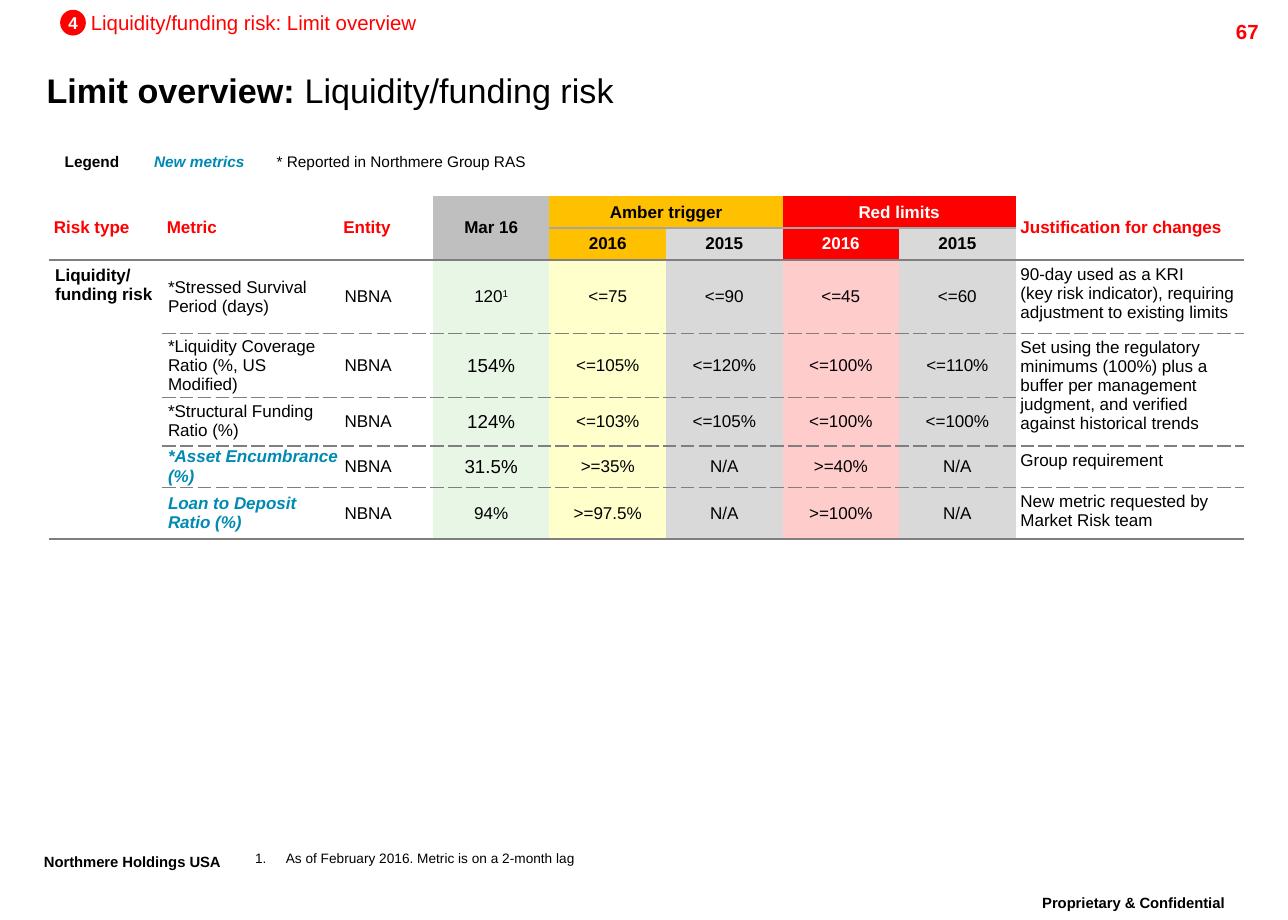
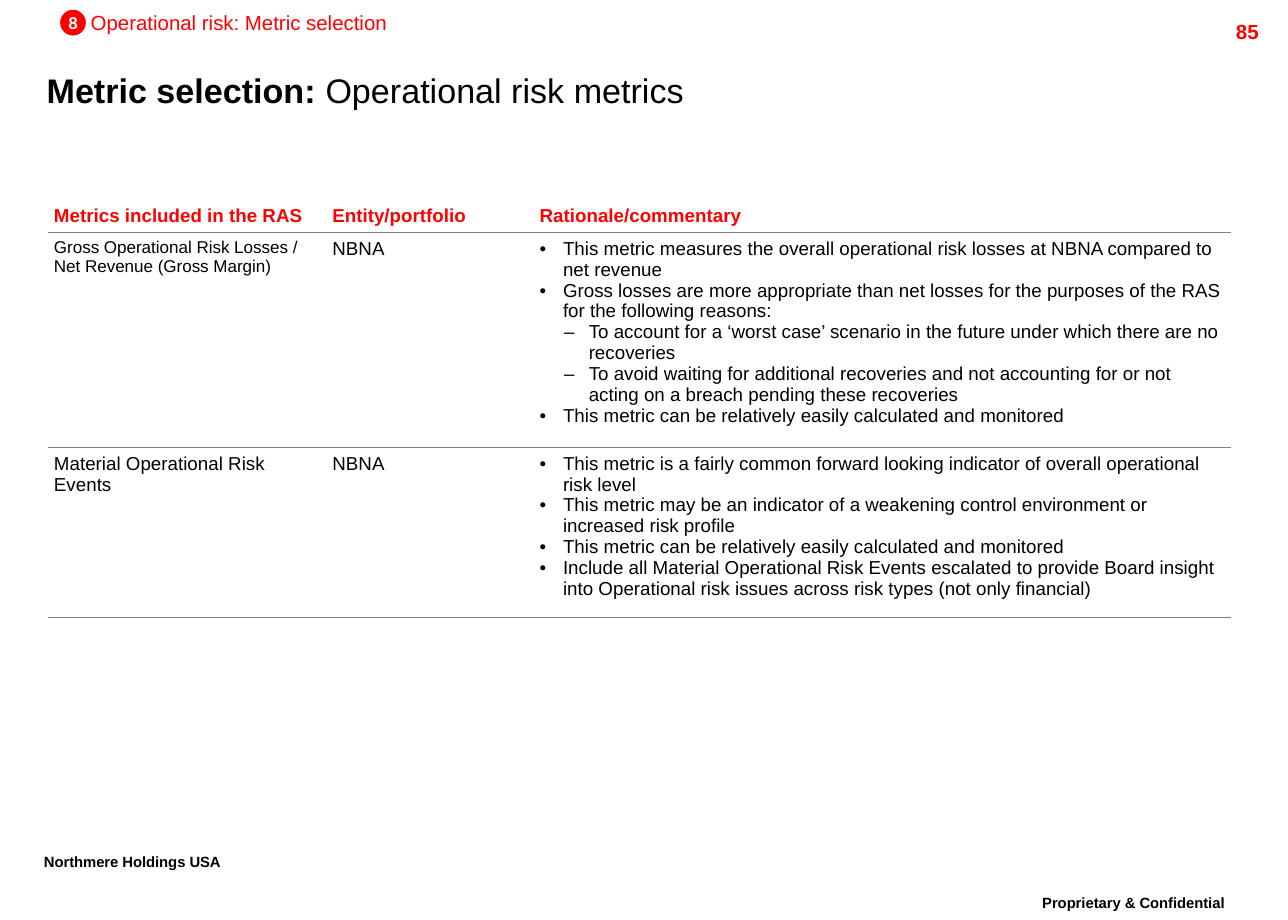
import pptx
import pptx.util
import pptx.dml.color
import pptx.enum.shapes
import pptx.enum.text
import pptx.oxml
import pptx.oxml.ns
from dataclasses import dataclass
from lxml import etree

PX = 9144  # EMU per px, 100 px to the inch
ALIGN = pptx.enum.text.PP_ALIGN
ANCHOR = pptx.enum.text.MSO_ANCHOR
qn = pptx.oxml.ns.qn


@dataclass(frozen=True)
class Theme:
    font: str = "Arial"
    black: str = "000000"
    white: str = "FFFFFF"
    red: str = "FF0000"
    amber: str = "FFC000"
    teal: str = "008AB3"
    grey: str = "D9D9D9"
    mid_grey: str = "BFBFBF"
    pale_green: str = "E8F6E6"
    pale_yellow: str = "FFFFCC"
    pale_red: str = "FFCCCC"
    rule: str = "7F7F7F"
    thin_rule: str = "A5A5A5"
    title: int = 20
    footer: int = 15
    section: int = 12
    large: int = 11
    body: int = 10
    legend: int = 9
    note: int = 8
    tight: float = 0.86


T = Theme()
NO_STYLE = "{2D5ABB26-0587-4C30-8999-92F81FD0307C}"


def rgb(color):
    return pptx.dml.color.RGBColor.from_string(color)


def px(*lengths):
    return [pptx.util.Emu(n * PX) for n in lengths]


def child(parent, tag, **attrs):
    return etree.SubElement(parent, qn(tag), attrs)


class Deck:
    def __init__(self, width, height):
        self.prs = pptx.Presentation()
        self.prs.slide_width, self.prs.slide_height = px(width, height)
        self.s = None

    def new_slide(self, number, section, section_width, page, title):
        """Add a slide with its section marker, page number, title and footers."""
        self.s = self.prs.slides.add_slide(self.prs.slide_layouts[5])
        self.title(*title)
        self.text((815, 725, 218, 35), "Proprietary & Confidential", align=ALIGN.CENTER,
                  spacing=T.tight, size=T.footer, bold=True, baseline=30)
        self.text((26, 691, 191, 35), "Northmere Holdings USA", wrap=False,
                  spacing=T.tight, size=T.footer, bold=True, baseline=30)
        self.text((936, 11, 100, 24), page, align=ALIGN.RIGHT,
                  size=T.section, bold=True, color=T.red)
        self.text((74, 8, section_width, 20), section, inset=(0, 0, 0, 0), wrap=False,
                  size=T.section, color=T.red)
        self.badge((49, 8, 21, 21), number)

    def run(self, p, text, size=T.body, color=T.black, bold=False, italic=False, baseline=0):
        for i, line in enumerate(text.split("\n")):
            if i:
                p.add_line_break()
            r = p.add_run()
            r.text = line
            f = r.font
            f.name, f.size, f.bold, f.italic = T.font, pptx.util.Pt(size), bold, italic
            f.color.rgb = rgb(color)
            if baseline:
                r._r.get_or_add_rPr().set("baseline", str(baseline * 1000))

    def frame(self, tf, inset, anchor=ANCHOR.TOP, wrap=True):
        tf.margin_left, tf.margin_top, tf.margin_right, tf.margin_bottom = px(*inset)
        tf.vertical_anchor = anchor
        tf.word_wrap = wrap

    def bullet(self, p, indent, hang, char=None):
        """Hang the paragraph on a character, or on a number if none is given."""
        pPr = p._p.get_or_add_pPr()
        pPr.set("marL", str(indent * PX))
        pPr.set("indent", str(-hang * PX))
        child(child(pPr, "a:buClr"), "a:srgbClr", val=T.black)
        child(pPr, "a:buFont", typeface=T.font)
        if char:
            child(pPr, "a:buChar", char=char)
        else:
            child(pPr, "a:buAutoNum", type="arabicPeriod")

    def title(self, lead, rest):
        sp = self.s.shapes.title
        sp.left, sp.top, sp.width, sp.height = px(38, 49, 948, 48)
        tf = sp.text_frame
        self.frame(tf, (0, 0, 0, 0), ANCHOR.MIDDLE)
        tf.auto_size = pptx.enum.text.MSO_AUTO_SIZE.NONE
        p = tf.paragraphs[0]
        p.alignment = ALIGN.LEFT
        self.run(p, lead + " ", size=T.title, bold=True)
        self.run(p, rest, size=T.title)

    def text(self, box, text, align=ALIGN.LEFT, inset=(10, 5, 10, 5), anchor=ANCHOR.TOP,
             wrap=True, spacing=None, **style):
        tf = self.s.shapes.add_textbox(*px(*box)).text_frame
        self.frame(tf, inset, anchor, wrap)
        p = tf.paragraphs[0]
        p.alignment = align
        if spacing:
            p.line_spacing = spacing
        self.run(p, text, **style)
        return p

    def badge(self, box, text):
        sp = self.s.shapes.add_shape(pptx.enum.shapes.MSO_SHAPE.OVAL, *px(*box))
        sp.shadow.inherit = False
        sp.fill.solid()
        sp.fill.fore_color.rgb = rgb(T.red)
        sp.line.fill.background()
        self.frame(sp.text_frame, (0, 0, 0, 0), ANCHOR.MIDDLE, wrap=False)
        p = sp.text_frame.paragraphs[0]
        p.alignment = ALIGN.CENTER
        self.run(p, text, bold=True, color=T.white)

    def table(self, left, top, widths, heights):
        gf = self.s.shapes.add_table(len(heights), len(widths),
                                     *px(left, top, sum(widths), sum(heights)))
        table = gf.table
        table.first_row = table.horz_banding = False
        table._tbl.tblPr.find(qn("a:tableStyleId")).text = NO_STYLE
        for column, width in zip(table.columns, px(*widths)):
            column.width = width
        for row, height in zip(table.rows, px(*heights)):
            row.height = height
        return table

    def cell(self, cell, text="", fill=None, align=ALIGN.LEFT, anchor=ANCHOR.MIDDLE,
             inset=(4, 4, 4, 4), **style):
        cell.margin_left, cell.margin_top, cell.margin_right, cell.margin_bottom = px(*inset)
        cell.vertical_anchor = anchor
        if fill:
            cell.fill.solid()
            cell.fill.fore_color.rgb = rgb(fill)
        else:
            cell.fill.background()
        p = cell.text_frame.paragraphs[0]
        p.alignment = align
        if text:
            self.run(p, text, **style)
        return p

    def border(self, cell, side, color, width, dash):
        tcPr = cell._tc.get_or_add_tcPr()
        old = tcPr.find(qn(side))
        if old is not None:
            tcPr.remove(old)
        ln = etree.Element(qn(side), w=str(int(width * 12700)))
        child(child(ln, "a:solidFill"), "a:srgbClr", val=color)
        child(ln, "a:prstDash", val=dash)
        after_top = side == "a:lnB" and tcPr.find(qn("a:lnT")) is not None
        tcPr.insert(int(after_top), ln)

    def rule(self, table, row, columns, width, color=T.rule, dash="solid"):
        """Draw a line above the given row, which may be one past the last."""
        for c in columns:
            above = row - 1
            self.border(table.cell(above, c), "a:lnB", color, width, dash)
            while above and table.cell(above, c).is_spanned:
                above -= 1
                self.border(table.cell(above, c), "a:lnB", color, width, dash)
            if row < len(table.rows):
                self.border(table.cell(row, c), "a:lnT", color, width, dash)


def limit_overview(deck):
    deck.new_slide("4", "Liquidity/funding risk: Limit overview", 268, "67",
                   ("Limit overview:", "Liquidity/funding risk"))
    legend = dict(align=ALIGN.CENTER, spacing=T.tight, size=T.legend)
    deck.text((40, 121, 70, 23), "Legend", bold=True, **legend)
    deck.text((115, 121, 95, 23), "New metrics", bold=True, italic=True, color=T.teal,
              wrap=False, **legend)
    deck.text((215, 121, 224, 23), "* Reported in Northmere Group RAS", wrap=False, **legend)
    note = deck.text((208, 694, 615, 12), "As of February 2016. Metric is on a 2-month lag",
                     inset=(0, 0, 0, 0), anchor=ANCHOR.BOTTOM, spacing=T.tight, size=T.note)
    deck.bullet(note, 25, 25)

    table = deck.table(40, 160, [92, 144, 77] + [95] * 5 + [186],
                       [26, 26, 60, 52, 39, 34, 42])
    merges = [((0, c), (1, c)) for c in (0, 1, 2, 3, 8)]
    merges += [((0, 4), (0, 5)), ((0, 6), (0, 7)), ((2, 0), (6, 0)), ((3, 8), (4, 8))]
    for first, last in merges:
        table.cell(*first).merge(table.cell(*last))

    for c, text in ((0, "Risk type"), (1, "Metric"), (2, "Entity"),
                    (8, "Justification for changes")):
        deck.cell(table.cell(0, c), text, bold=True, color=T.red)
    for r, c, text, fill, color in (
            (0, 3, "Mar 16", T.mid_grey, T.black),
            (0, 4, "Amber trigger", T.amber, T.black), (0, 6, "Red limits", T.red, T.white),
            (1, 4, "2016", T.amber, T.black), (1, 5, "2015", T.grey, T.black),
            (1, 6, "2016", T.red, T.white), (1, 7, "2015", T.grey, T.black)):
        deck.cell(table.cell(r, c), text, fill, ALIGN.CENTER, bold=True, color=color)
    deck.cell(table.cell(2, 0), "Liquidity/ funding risk", anchor=ANCHOR.TOP,
              inset=(5, 5, 5, 5), bold=True)

    new = dict(color=T.teal, bold=True, italic=True)
    metrics = [
        ("*Stressed Survival Period (days)", {}, "120", T.body,
         ("<=75", "<=90", "<=45", "<=60"),
         "90-day used as a KRI\n(key risk indicator), requiring adjustment to existing limits"),
        ("*Liquidity Coverage Ratio (%, US Modified)", {}, "154%", T.large,
         ("<=105%", "<=120%", "<=100%", "<=110%"),
         "Set using the regulatory minimums (100%) plus a buffer per management judgment, "
         "and verified against historical trends"),
        ("*Structural Funding Ratio (%)", {}, "124%", T.large,
         ("<=103%", "<=105%", "<=100%", "<=100%"), None),
        ("*Asset Encumbrance (%)", new, "31.5%", T.large,
         (">=35%", "N/A", ">=40%", "N/A"), "Group requirement"),
        ("Loan to Deposit Ratio (%)", new, "94%", T.body,
         (">=97.5%", "N/A", ">=100%", "N/A"), "New metric requested by Market Risk team"),
    ]
    limit_fills = (T.pale_yellow, T.grey, T.pale_red, T.grey)
    for r, (metric, style, actual, size, limits, reason) in enumerate(metrics, 2):
        deck.cell(table.cell(r, 1), metric, inset=(5, 0, 0, 0), **style)
        deck.cell(table.cell(r, 2), "NBNA", inset=(5, 5, 5, 5))
        p = deck.cell(table.cell(r, 3), actual, T.pale_green, ALIGN.CENTER, size=size)
        if r == 2:
            deck.run(p, "1", baseline=30)
        for c, (limit, fill) in enumerate(zip(limits, limit_fills), 4):
            deck.cell(table.cell(r, c), limit, fill, ALIGN.CENTER)
        if reason:
            deck.cell(table.cell(r, 8), reason, anchor=ANCHOR.TOP)

    deck.rule(table, 1, range(4, 8), 1, T.thin_rule)
    for row in (2, 7):
        deck.rule(table, row, range(9), 1.5)
    for row in (3, 4, 5, 6):
        deck.rule(table, row, range(1, 8 if row == 4 else 9), 1, dash="sysDash")


def metric_selection(deck):
    deck.new_slide("8", "Operational risk: Metric selection", 244, "85",
                   ("Metric selection:", "Operational risk metrics"))
    table = deck.table(39, 161, [227, 169, 569], [28, 175, 139])
    inset = (5, 5, 5, 5)
    for c, text in enumerate(("Metrics included in the RAS", "Entity/portfolio",
                              "Rationale/commentary")):
        deck.cell(table.cell(0, c), text, anchor=ANCHOR.BOTTOM, inset=inset,
                  size=T.large, bold=True, color=T.red)

    levels = {1: (19, 19, "•"), 2: (40, 20, "–")}
    monitored = (1, "This metric can be relatively easily calculated and monitored")
    rows = [
        ("Gross Operational Risk Losses / Net Revenue (Gross Margin)", T.body, [
            (1, "This metric measures the overall operational risk losses at NBNA compared "
                "to net revenue"),
            (1, "Gross losses are more appropriate than net losses for the purposes of the "
                "RAS for the following reasons:"),
            (2, "To account for a ‘worst case’ scenario in the future under which there are "
                "no recoveries"),
            (2, "To avoid waiting for additional recoveries and not accounting for or not "
                "acting on a breach pending these recoveries"),
            monitored]),
        ("Material Operational Risk Events", T.large, [
            (1, "This metric is a fairly common forward looking indicator of overall "
                "operational risk level"),
            (1, "This metric may be an indicator of a weakening control environment or "
                "increased risk profile"),
            monitored,
            (1, "Include all Material Operational Risk Events escalated to provide Board "
                "insight into Operational risk issues across risk types (not only "
                "financial)")]),
    ]
    for r, (metric, size, points) in enumerate(rows, 1):
        deck.cell(table.cell(r, 0), metric, anchor=ANCHOR.TOP, inset=inset, size=size)
        deck.cell(table.cell(r, 1), "NBNA", anchor=ANCHOR.TOP, inset=inset, size=T.large)
        p = deck.cell(table.cell(r, 2), anchor=ANCHOR.TOP, inset=inset)
        for i, (level, text) in enumerate(points):
            if i:
                p = table.cell(r, 2).text_frame.add_paragraph()
            deck.bullet(p, *levels[level])
            deck.run(p, text, size=T.large)
    for row in (1, 2, 3):
        deck.rule(table, row, range(3), 0.75)


def main():
    deck = Deck(1050, 750)
    limit_overview(deck)
    metric_selection(deck)
    deck.prs.save("out.pptx")


if __name__ == "__main__":
    main()
